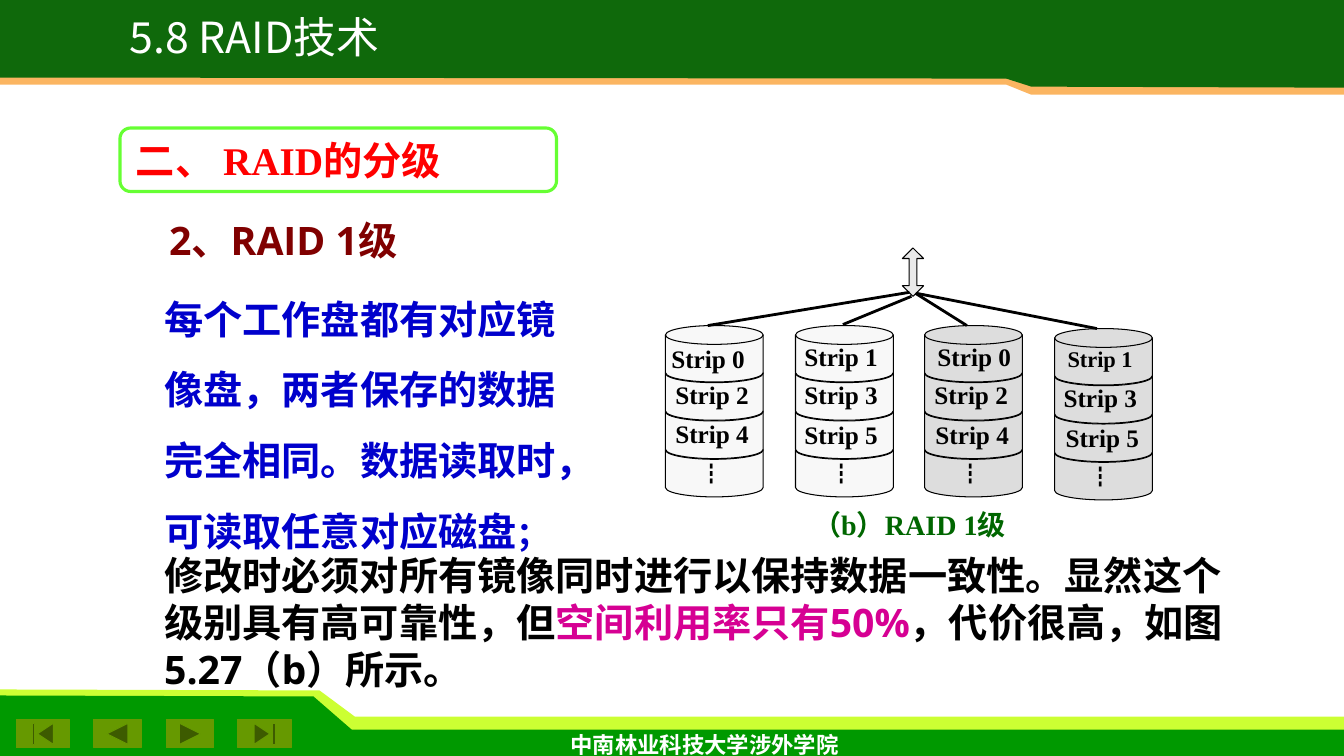
from dataclasses import dataclass

from lxml import etree
from pptx import Presentation
from pptx.dml.color import RGBColor
from pptx.enum.shapes import MSO_CONNECTOR, MSO_SHAPE
from pptx.enum.text import MSO_ANCHOR, MSO_AUTO_SIZE, PP_ALIGN
from pptx.oxml.ns import qn
from pptx.util import Inches, Pt

DISK = MSO_SHAPE.FLOWCHART_MAGNETIC_DISK
ARROW = MSO_SHAPE.UP_DOWN_ARROW
ROUNDED = MSO_SHAPE.ROUNDED_RECTANGLE
STRAIGHT = MSO_CONNECTOR.STRAIGHT
LEFT, CENTER = PP_ALIGN.LEFT, PP_ALIGN.CENTER
TOP, MIDDLE = MSO_ANCHOR.TOP, MSO_ANCHOR.MIDDLE

SANS, SERIF, CJK = "Open Sans", "Times New Roman", "Noto Sans CJK SC"
COLORS = {
    "white": "FFFFFF", "black": "000000", "red": "FF0000", "maroon": "800000",
    "blue": "0000CC", "magenta": "D60093", "caption": "006600",
    "header": "0F690B", "header_edge": "FBB561",
    "footer": "009900", "footer_edge": "CCFF33", "button": "669900",
    "frame": "66FF33", "arrow": "EAEAEA", "work": "F8F8F8", "mirror": "DDDDDD",
}


@dataclass
class Run:
    text: str
    size: float
    color: str
    font: str = SANS
    bold: bool = True


@dataclass
class Band:
    color: str
    points: list[tuple[float, float]]


@dataclass
class Button:
    kind: MSO_SHAPE
    left: float
    width: float


@dataclass
class Strip:
    text: str
    left: float
    top: float
    size: int = 18


@dataclass
class Disk:
    left: float
    top: float
    color: str
    strips: list[Strip]


@dataclass
class Link:
    start: tuple[float, float]
    end: tuple[float, float]


BANDS = [
    Band("footer_edge", [(0, 7.4), (13.33, 7.4), (13.33, 7.11), (3.52, 7.11), (3.17, 6.85), (0, 6.84)]),
    Band("footer", [(0, 7.5), (13.33, 7.5), (13.33, 7.24), (3.49, 7.24), (3.11, 6.91), (0, 6.9)]),
    Band("header_edge", [(13.33, 0), (0, 0), (0, 0.84), (9.98, 0.84), (10.23, 0.94), (13.33, 0.94)]),
    Band("header", [(13.33, 0), (0, 0), (0, 0.77), (9.98, 0.78), (10.23, 0.86), (13.33, 0.87)]),
]
BUTTONS = [
    Button(MSO_SHAPE.ACTION_BUTTON_BEGINNING, 0.16, 0.53),
    Button(MSO_SHAPE.ACTION_BUTTON_BACK_OR_PREVIOUS, 0.93, 0.47),
    Button(MSO_SHAPE.ACTION_BUTTON_FORWARD_OR_NEXT, 1.65, 0.47),
    Button(MSO_SHAPE.ACTION_BUTTON_END, 2.36, 0.53),
]
DISKS = [
    Disk(6.6, 3.23, "work", [
        Strip("Strip 0", 6.56, 3.36), Strip("Strip 2", 6.6, 3.71), Strip("Strip 4", 6.6, 4.1)]),
    Disk(7.89, 3.23, "work", [
        Strip("Strip 1", 7.88, 3.34), Strip("Strip 3", 7.88, 3.71), Strip("Strip 5", 7.88, 4.11)]),
    Disk(9.17, 3.23, "mirror", [
        Strip("Strip 0", 9.2, 3.34), Strip("Strip 2", 9.17, 3.71), Strip("Strip 4", 9.18, 4.11)]),
    Disk(10.46, 3.26, "mirror", [
        Strip("Strip 1", 10.49, 3.37, 16), Strip("Strip 3", 10.45, 3.74), Strip("Strip 5", 10.47, 4.14)]),
]
LINKS = [
    Link((7.02, 3.23), (9.02, 2.9)), Link((8.36, 3.22), (9.04, 2.94)),
    Link((9.59, 3.23), (9.08, 2.91)), Link((10.88, 3.26), (9.09, 2.91)),
]

presentation = Presentation()
presentation.slide_width, presentation.slide_height = Inches(13.33), Inches(7.5)
slide = presentation.slides.add_slide(presentation.slide_layouts[1])
shapes = slide.shapes


def rgb(name: str) -> RGBColor:
    return RGBColor.from_string(COLORS[name])


def paint(shape, fill: str, line: str | None = None, width: float = 0.75) -> None:
    shape.shadow.inherit = False
    shape.fill.solid()
    shape.fill.fore_color.rgb = rgb(fill)
    if line is None:
        shape.line.fill.background()
    else:
        shape.line.color.rgb = rgb(line)
        shape.line.width = Pt(width)


def add_preset(kind: MSO_SHAPE, left: float, top: float, width: float, height: float,
               fill: str, line: str, line_width: float = 0.75):
    shape = shapes.add_shape(kind, Inches(left), Inches(top), Inches(width), Inches(height))
    paint(shape, fill, line, line_width)
    return shape


def write(shape, runs: list[Run], align: PP_ALIGN = LEFT, anchor: MSO_ANCHOR = TOP,
          spacing: Pt | float | None = None, wrap: bool = True) -> None:
    frame = shape.text_frame
    frame.word_wrap, frame.auto_size = wrap, MSO_AUTO_SIZE.NONE
    frame.vertical_anchor = anchor
    paragraph = frame.paragraphs[0]
    paragraph.alignment, paragraph.space_before = align, Pt(0)
    if spacing is not None:
        paragraph.line_spacing = spacing
    for item in runs:
        run = paragraph.add_run()
        run.text = item.text
        run.font.size, run.font.bold = Pt(item.size), item.bold
        run.font.name = item.font
        run.font.color.rgb = rgb(item.color)
        etree.SubElement(run.font._element, qn("a:ea")).set("typeface", CJK)


def place(shape, left: float, top: float, width: float, height: float) -> None:
    shape.left, shape.top = Inches(left), Inches(top)
    shape.width, shape.height = Inches(width), Inches(height)


def add_text(left: float, top: float, width: float, height: float, runs: list[Run], **layout) -> None:
    box = shapes.add_textbox(Inches(left), Inches(top), Inches(width), Inches(height))
    write(box, runs, **layout)


def draw_disk(disk: Disk) -> None:
    for level in reversed(range(4)):
        add_preset(DISK, disk.left, disk.top + 0.38 * level, 0.97, 0.56, disk.color, "black")
    add_text(disk.left + 0.25, disk.top + 1.29, 0.49, 0.41, [Run("┇", 16, "black", CJK)])
    for strip in disk.strips:
        add_text(strip.left, strip.top, 1.04, 0.48, [Run(strip.text, strip.size, "black", SERIF)])


def draw_link(link: Link) -> None:
    x1, y1, x2, y2 = map(Inches, link.start + link.end)
    connector = shapes.add_connector(STRAIGHT, x1, y1, x2, y2)
    connector.line.color.rgb, connector.line.width = rgb("black"), Pt(2)
    etree.SubElement(connector.element.spPr, qn("a:effectLst"))


# Header and footer bands with navigation buttons
for band in BANDS:
    corners = [(Inches(x), Inches(y)) for x, y in band.points]
    builder = shapes.build_freeform(*corners[0])
    builder.add_line_segments(corners[1:], close=True)
    paint(builder.convert_to_shape(), band.color)
for button in BUTTONS:
    add_preset(button.kind, button.left, 7.14, button.width, 0.28, "button", "button")
add_text(5.56, 7.2, 2.92, 0.37, [Run("中南林业科技大学涉外学院", 16, "white")], wrap=False)

# Title, brought in front of the header
title = shapes.title
place(title, 0.4, 0.13, 4.25, 0.55)
write(title, [Run("5.8 RAID技术", 30.6, "white", CJK, False)],
      align=CENTER, anchor=MIDDLE, spacing=0.8, wrap=False)
shapes.element.append(title.element)

# Section headings
frame = add_preset(ROUNDED, 1.19, 1.27, 4.33, 0.63, "white", "frame", 2.25)
frame.adjustments[0] = 0.167
add_text(1.25, 1.3, 4.19, 0.57, [Run("二、 RAID的分级", 28, "red", SERIF)])
add_text(1.58, 2.1, 3.86, 0.64, [Run("2、RAID 1级", 28, "maroon")])

# Explanation
reading = slide.placeholders[1]
place(reading, 1.53, 2.64, 4.14, 2.82)
write(reading, [
    Run("每个工作盘都有对应镜像盘，两者保存的数据完全相同。数据读取时，可读取任意对应磁盘", 28, "blue"),
    Run("；", 24, "blue"),
], spacing=Pt(50.5))
bullet = reading.text_frame.paragraphs[0]._p.get_or_add_pPr()
bullet.set("marL", "0")
bullet.set("indent", "0")
etree.SubElement(bullet, qn("a:buNone"))
add_text(1.53, 5.42, 10.89, 1.51, [
    Run("修改时必须对所有镜像同时进行以保持数据一致性。显然这个级别具有高可靠性，但", 28, "black"),
    Run("空间利用率只有50%", 28, "magenta"),
    Run("，代价很高，如图5.27（b）所示。", 28, "black"),
], spacing=Pt(33.5))

# RAID 1 diagram
for disk in DISKS:
    draw_disk(disk)
channel = add_preset(ARROW, 8.95, 2.46, 0.21, 0.48, "arrow", "black")
channel.adjustments[0], channel.adjustments[1] = 0.5, 0.365
for link in LINKS:
    draw_link(link)
add_text(7.56, 4.99, 2.92, 0.55, [Run("（b）RAID 1级", 20, "caption", SERIF)], align=CENTER)

presentation.save("out.pptx")
